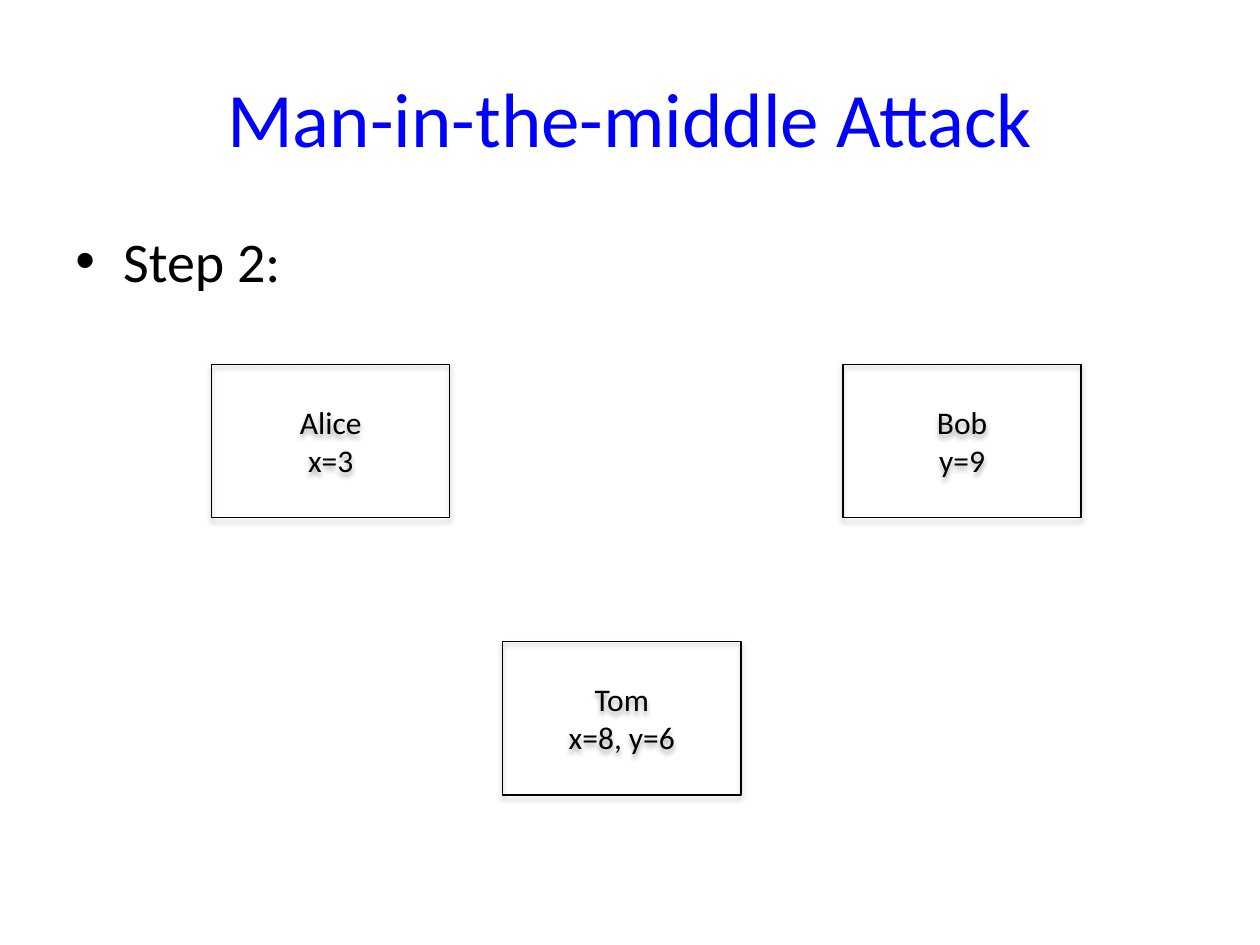
from lxml import etree
from pptx import Presentation
from pptx.dml.color import RGBColor
from pptx.enum.shapes import MSO_SHAPE
from pptx.enum.text import MSO_ANCHOR, PP_ALIGN
from pptx.oxml.ns import qn
from pptx.util import Inches, Pt

RECTANGLE = MSO_SHAPE.RECTANGLE
TOP, MIDDLE = MSO_ANCHOR.TOP, MSO_ANCHOR.MIDDLE
LEFT, CENTER = PP_ALIGN.LEFT, PP_ALIGN.CENTER

FONT = "Calibri"
COLORS = {"title": "0000FF", "text": "000000", "line": "000000", "shadow": "000000"}
BOX_WIDTH, BOX_HEIGHT = 1.89, 1.22

# Each party: left, top, lines of text
PARTIES = [
    (1.68, 2.89, ["Alice", "x=3"]),
    (6.69, 2.89, ["Bob", "y=9"]),
    (3.99, 5.09, ["Tom", "x=8, y=6"]),
]


def write_lines(frame, lines, size, color, align, anchor):
    frame.word_wrap = True
    frame.vertical_anchor = anchor
    font_format = {"name": FONT, "size": Pt(size)}
    for index, line in enumerate(lines):
        paragraph = frame.paragraphs[0] if index == 0 else frame.add_paragraph()
        paragraph.alignment = align
        run = paragraph.add_run()
        run.text = line
        for attribute, value in font_format.items():
            setattr(run.font, attribute, value)
        run.font.color.rgb = RGBColor.from_string(COLORS[color])


def add_text(slide, left, top, width, height, line, size, color, align, anchor):
    box = slide.shapes.add_textbox(
        Inches(left), Inches(top), Inches(width), Inches(height))
    write_lines(box.text_frame, [line], size, color, align, anchor)
    return box.text_frame.paragraphs[0]


def add_bullet(paragraph, indent):
    paragraph.space_before = Pt(6.4)
    properties = paragraph._p.get_or_add_pPr()
    properties.set("marL", str(Inches(indent)))
    properties.set("indent", str(-Inches(indent)))
    etree.SubElement(properties, qn("a:buFont"), typeface="Arial")
    etree.SubElement(properties, qn("a:buChar"), char="•")


def add_shadow(shape):
    shape.shadow.inherit = False
    effects = shape._element.spPr.find(qn("a:effectLst"))
    shadow = etree.SubElement(
        effects, qn("a:outerShdw"), blurRad=str(Pt(3.1)), dist=str(Pt(1.8)),
        dir="5400000", rotWithShape="0")
    color = etree.SubElement(shadow, qn("a:srgbClr"), val=COLORS["shadow"])
    etree.SubElement(color, qn("a:alpha"), val="35000")


def add_party(slide, left, top, lines):
    party = slide.shapes.add_shape(
        RECTANGLE, Inches(left), Inches(top), Inches(BOX_WIDTH), Inches(BOX_HEIGHT))
    party.fill.background()
    party.line.color.rgb = RGBColor.from_string(COLORS["line"])
    party.line.width = Pt(0.75)
    add_shadow(party)
    write_lines(party.text_frame, lines, 18, "text", CENTER, MIDDLE)


def main():
    presentation = Presentation()
    presentation.slide_width = Inches(10)
    presentation.slide_height = Inches(7.5)
    slide = presentation.slides.add_slide(presentation.slide_layouts[6])

    # Title and step
    add_text(slide, 0.5, 0.3, 9, 1.25, "Man-in-the-middle Attack",
             44, "title", CENTER, MIDDLE)
    step = add_text(slide, 0.5, 1.75, 9, 4.95, "Step 2:", 32, "text", LEFT, TOP)
    add_bullet(step, 0.38)

    # Parties with their secret numbers
    for left, top, lines in PARTIES:
        add_party(slide, left, top, lines)

    presentation.save("out.pptx")


if __name__ == "__main__":
    main()
